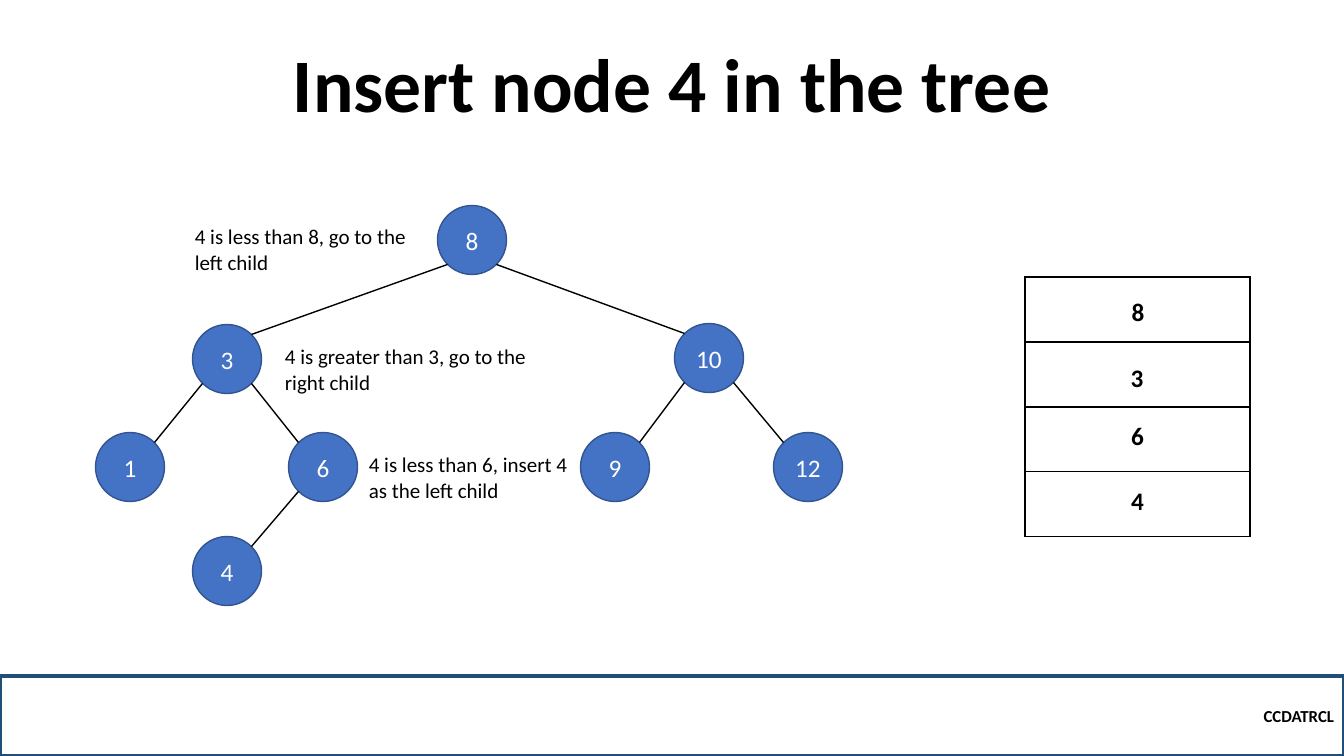
import pptx
import pptx.util
import pptx.dml.color
import pptx.enum.shapes
import pptx.enum.text
import pptx.oxml.ns
import lxml.etree

RGB = pptx.dml.color.RGBColor
BLACK = RGB(0x00, 0x00, 0x00)
WHITE = RGB(0xFF, 0xFF, 0xFF)
NODE_BLUE = RGB(0x44, 0x72, 0xC4)
NODE_EDGE = RGB(0x32, 0x54, 0x91)
FOOTER_EDGE = RGB(0x1F, 0x4E, 0x79)
ALIGN = pptx.enum.text.PP_ALIGN
ANCHOR = pptx.enum.text.MSO_ANCHOR
SHAPE = pptx.enum.shapes.MSO_SHAPE

TITLE = "Insert node 4 in the tree"
FOOTER = "CCDATRCL"
NODE_SIZE = 69
NODES = {
    "8": (472, 240),
    "3": (227, 359),
    "10": (709, 358),
    "1": (130, 467),
    "6": (323, 467),
    "9": (615, 467),
    "12": (808, 467),
    "4": (227, 571),
}
EDGES = [("8", "3"), ("8", "10"), ("3", "1"), ("3", "6"),
         ("6", "4"), ("10", "9"), ("10", "12")]
NOTES = [
    ("4 is less than 8, go to the left child", (185, 219, 252, 61)),
    ("4 is greater than 3, go to the right child", (275, 339, 303, 61)),
    ("4 is less than 6, insert 4 as the left child", (359, 447, 220, 61)),
]
STACK_BOX = (1025, 277, 225, 260)
STACK_VALUES = [
    ("8", (1060, 291, 156, 40)),
    ("3", (1059, 357, 156, 40)),
    ("6", (1074, 415, 127, 40)),
    ("4", (1074, 480, 127, 40)),
]


def px(*lengths):
    return [pptx.util.Emu(round(length * 914400 / 100.8)) for length in lengths]


def write(frame, text, size, color=BLACK, bold=False,
          align=ALIGN.LEFT, anchor=ANCHOR.TOP):
    frame.word_wrap = True
    frame.vertical_anchor = anchor
    para = frame.paragraphs[0]
    para.alignment = align
    span = para.add_run()
    span.text = text
    span.font.name = "Calibri"
    span.font.size = pptx.util.Pt(size)
    span.font.bold = bold
    span.font.color.rgb = color
    return para


def add_label(text, box, size, **style):
    label = page.shapes.add_textbox(*px(*box))
    write(label.text_frame, text, size, **style)


def set_borders(cell):
    properties = cell._tc.get_or_add_tcPr()
    for position, side in enumerate(("a:lnL", "a:lnR", "a:lnT", "a:lnB")):
        border = lxml.etree.Element(pptx.oxml.ns.qn(side), w="12700")
        fill = lxml.etree.SubElement(border, pptx.oxml.ns.qn("a:solidFill"))
        lxml.etree.SubElement(fill, pptx.oxml.ns.qn("a:srgbClr"), val=str(BLACK))
        properties.insert(position, border)


deck = pptx.Presentation()
deck.slide_width, deck.slide_height = px(1344, 756)
page = deck.slides.add_slide(deck.slide_layouts[0])
subtitle = page.placeholders[1].element
subtitle.getparent().remove(subtitle)

title = page.shapes.title
title.left, title.top, title.width, title.height = px(168, 54, 1008, 80)
title_para = write(title.text_frame, TITLE, 54, bold=True,
                   align=ALIGN.CENTER, anchor=ANCHOR.BOTTOM)
title_para.line_spacing = 0.9

footer = page.shapes.add_shape(SHAPE.RECTANGLE, *px(0, 676, 1344, 80))
footer.shadow.inherit = False
footer.fill.background()
footer.line.color.rgb = FOOTER_EDGE
footer.line.width = pptx.util.Pt(2.25)
write(footer.text_frame, FOOTER, 12, bold=True,
      align=ALIGN.RIGHT, anchor=ANCHOR.MIDDLE)

for value, (x, y) in NODES.items():
    node = page.shapes.add_shape(
        SHAPE.OVAL, *px(x - NODE_SIZE / 2, y - NODE_SIZE / 2, NODE_SIZE, NODE_SIZE))
    node.shadow.inherit = False
    node.fill.solid()
    node.fill.fore_color.rgb = NODE_BLUE
    node.line.color.rgb = NODE_EDGE
    node.line.width = pptx.util.Pt(1)
    write(node.text_frame, value, 18, color=WHITE,
          align=ALIGN.CENTER, anchor=ANCHOR.MIDDLE)

diagonal = NODE_SIZE / 2 * 0.71
for parent, child in EDGES:
    (x1, y1), (x2, y2) = NODES[parent], NODES[child]
    shift = diagonal if x2 > x1 else -diagonal
    edge = page.shapes.add_connector(
        pptx.enum.shapes.MSO_CONNECTOR.STRAIGHT,
        *px(x1 + shift, y1 + diagonal, x2 - shift, y2 - diagonal))
    edge.line.color.rgb = BLACK
    edge.line.width = pptx.util.Pt(1)
    lxml.etree.SubElement(edge.element.spPr, pptx.oxml.ns.qn("a:effectLst"))

stack = page.shapes.add_table(len(STACK_VALUES), 1, *px(*STACK_BOX)).table
stack.first_row = False
stack.horz_banding = False
for cell in stack.iter_cells():
    cell.fill.background()
    set_borders(cell)

for value, box in STACK_VALUES:
    add_label(value, box, 18, bold=True, align=ALIGN.CENTER)
for note, box in NOTES:
    add_label(note, box, 15)

deck.save("out.pptx")
